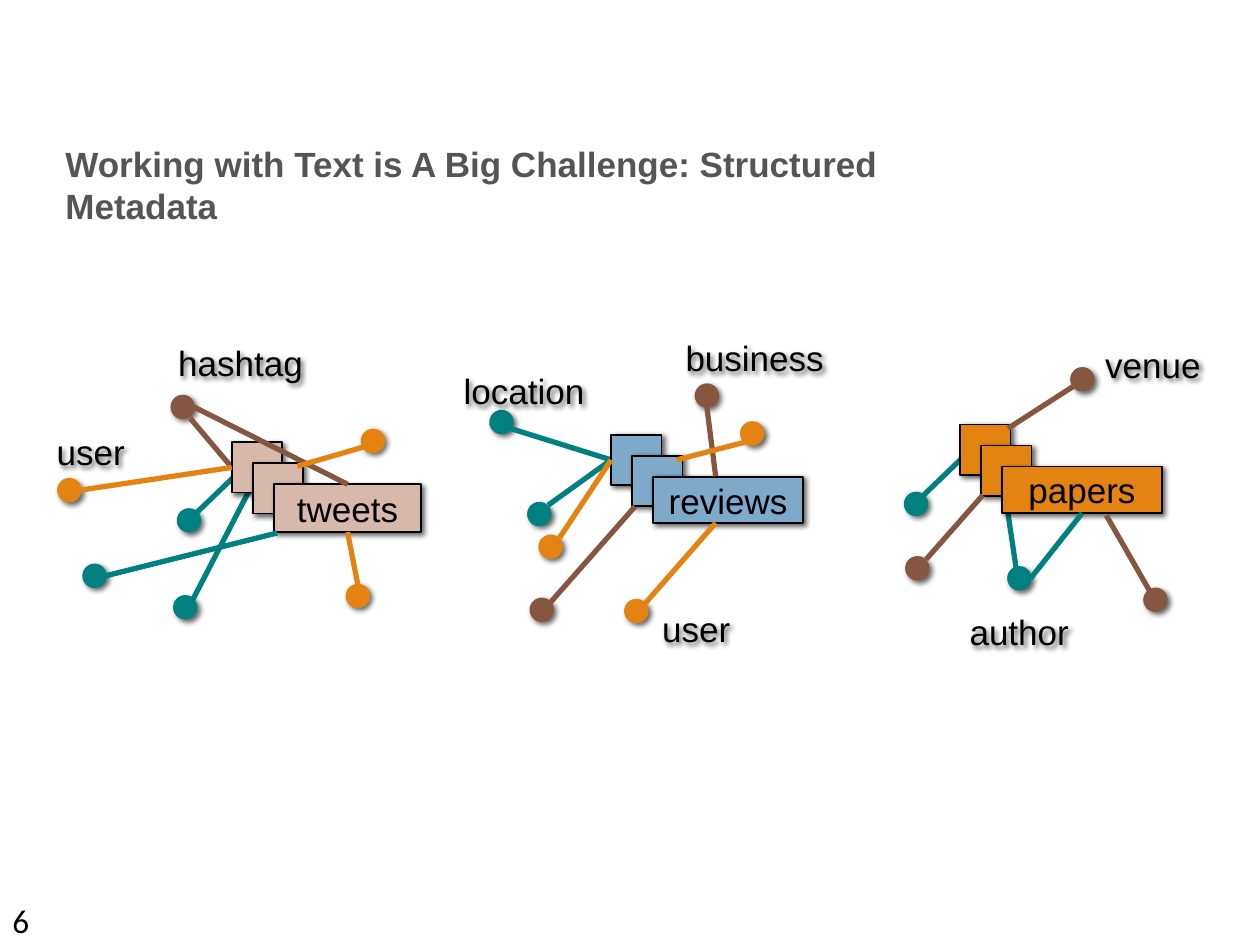
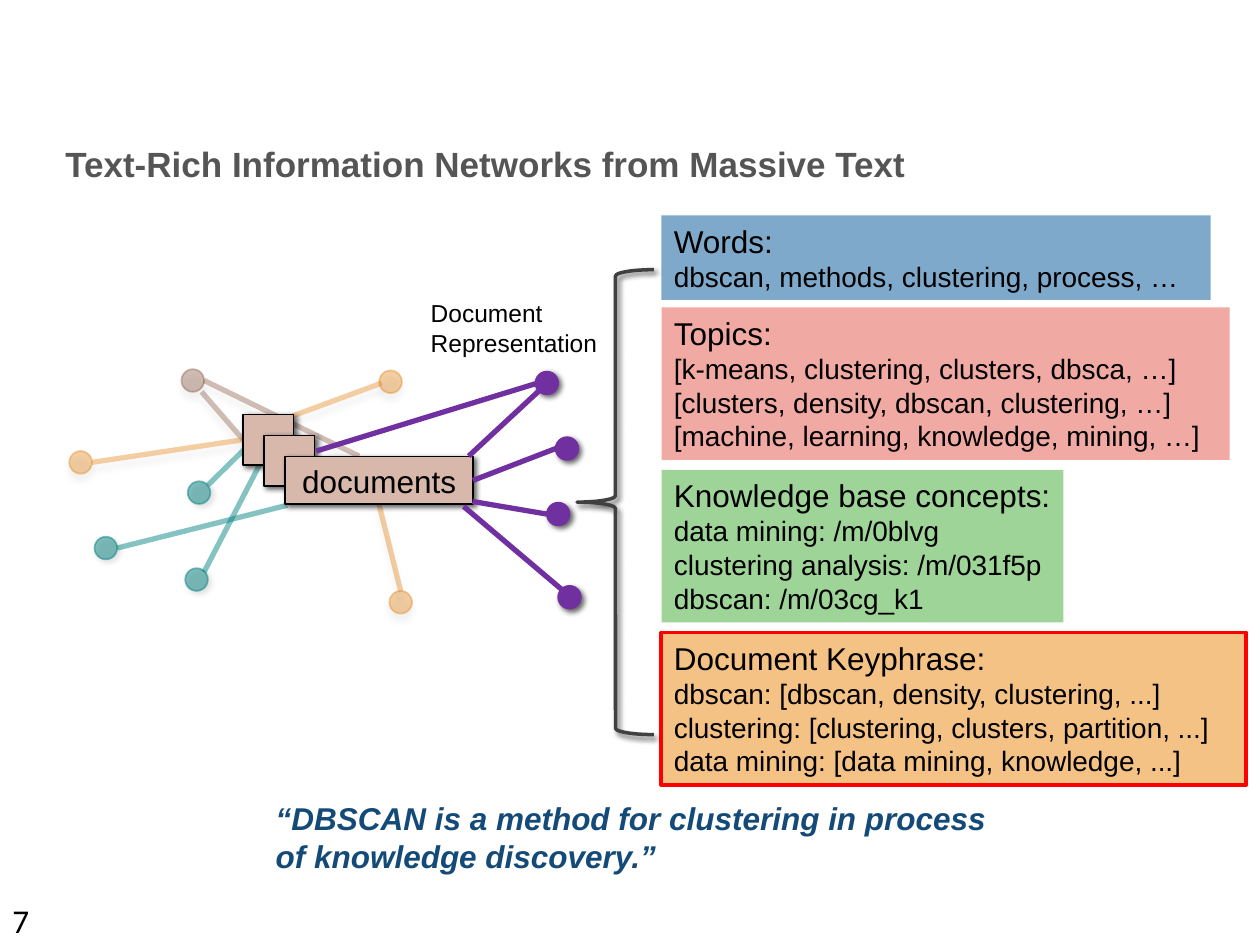
"""Build two slides on text documents linked to structured metadata."""
from lxml.etree import SubElement
from pptx import Presentation
from pptx.dml.color import RGBColor
from pptx.enum.shapes import MSO_CONNECTOR, MSO_SHAPE
from pptx.enum.text import MSO_ANCHOR, PP_ALIGN
from pptx.oxml.ns import qn
from pptx.util import Inches, Pt

BLACK = RGBColor(0x00, 0x00, 0x00)
GRAY = RGBColor(0x55, 0x55, 0x55)
DARK = RGBColor(0x40, 0x40, 0x40)
NAVY = RGBColor(0x14, 0x4A, 0x78)
ORANGE = RGBColor(0xE4, 0x83, 0x12)
TEAL = RGBColor(0x00, 0x80, 0x80)
BROWN = RGBColor(0x86, 0x56, 0x40)
PURPLE = RGBColor(0x70, 0x30, 0xA0)
BLUE = RGBColor(0x7E, 0xA9, 0xCA)
TAN = RGBColor(0xD7, 0xB8, 0xAB)
PINK = RGBColor(0xF0, 0xAA, 0xA3)
GREEN = RGBColor(0x9E, 0xD4, 0x98)
PEACH = RGBColor(0xF3, 0xB5, 0x6C)
RED = RGBColor(0xFF, 0x00, 0x00)

HARD = (60, 3, 2, 45)
SOFT = (12, 4, 4, 90)
FADE = {ORANGE: 38, BROWN: 39, TEAL: 48}
FADE_SHADOW = {ORANGE: SOFT, BROWN: SOFT, TEAL: (21, 3, 2, 45)}
DOT = 0.18
CARD = 0.4
STEP = 1 / 6


def write(sp, lines, size=20, rest=None, color=BLACK, font="Arial", bold=False,
          italic=False, align=PP_ALIGN.LEFT, anchor=MSO_ANCHOR.TOP):
    tf = sp.text_frame
    tf.word_wrap = True
    tf.vertical_anchor = anchor
    for i, line in enumerate(lines):
        p = tf.paragraphs[0] if i == 0 else tf.add_paragraph()
        p.alignment = align
        r = p.add_run()
        r.text = line
        r.font.name = font
        r.font.size = Pt(rest if i and rest else size)
        r.font.bold = bold
        r.font.italic = italic
        r.font.color.rgb = color


def finish(sp, shadow=None, alpha=None):
    sp_pr = sp._element.spPr
    if alpha:
        for clr in sp_pr.iter(qn("a:srgbClr")):
            SubElement(clr, qn("a:alpha"), val=str(alpha * 1000))
    effects = SubElement(sp_pr, qn("a:effectLst"))
    if shadow:
        opacity, blur, dist, angle = shadow
        outer = SubElement(effects, qn("a:outerShdw"), blurRad=str(Pt(blur)),
                           dist=str(Pt(dist)), dir=str(angle * 60000),
                           algn="tl", rotWithShape="0")
        clr = SubElement(outer, qn("a:srgbClr"), val="000000")
        SubElement(clr, qn("a:alpha"), val=str(opacity * 1000))


# Edges: colour, x1, y1, x2, y2 and, where the end is joined, card and side.
tweets = dict(
    name="tweets", size=20, color=TAN, at=(1.84, 3.51), w=1.17, h=0.38, faded=False,
    dots=[(ORANGE, 2.75, 4.64), (TEAL, 1.41, 4.04), (TEAL, 1.38, 4.73), (ORANGE, 2.87, 3.41),
          (BROWN, 1.36, 3.14), (ORANGE, 0.46, 3.8), (TEAL, 0.66, 4.48)],
    back=[(BROWN, 1.51, 3.32, 1.84, 3.71, 0, 1), (TEAL, 1.53, 4.76, 2.14, 3.58),
          (TEAL, 1.56, 4.07, 2.09, 3.56)],
    front=[(TEAL, 0.84, 4.57, 2.2, 4.23), (BROWN, 1.54, 3.23, 2.76, 3.84, 2, 0),
           (ORANGE, 2.84, 4.64, 2.76, 4.22, 2, 2), (ORANGE, 0.64, 3.89, 1.84, 3.71, 0, 1),
           (ORANGE, 3.05, 3.5, 2.36, 3.7)],
    labels=[("user", 0.16, 3.41, 1.12, 0.35), ("hashtag", 1.24, 2.71, 1.34, 0.34)])

reviews = dict(
    name="reviews", size=20, color=BLUE, at=(4.85, 3.45), w=1.19, h=0.37, faded=False,
    dots=[(ORANGE, 4.96, 4.76), (TEAL, 3.89, 3.26), (TEAL, 4.19, 3.99), (ORANGE, 5.88, 3.35),
          (BROWN, 5.52, 3.05), (ORANGE, 4.28, 4.25), (BROWN, 4.21, 4.75)],
    back=[(TEAL, 4.35, 4.01, 4.85, 3.65, 0, 1), (TEAL, 3.89, 3.35, 4.85, 3.65, 0, 1)],
    front=[(BROWN, 4.37, 4.78, 5.04, 4.02), (BROWN, 5.61, 3.23, 5.68, 3.78),
           (ORANGE, 5.12, 4.79, 5.68, 4.15), (ORANGE, 4.44, 4.27, 4.85, 3.65, 0, 1),
           (ORANGE, 5.91, 3.51, 5.37, 3.65)],
    labels=[("user", 4.87, 4.8, 1.31, 0.38), ("location", 3.51, 2.95, 1.3, 0.3),
            ("business", 4.97, 2.68, 2.04, 0.32)])

papers = dict(
    name="papers", size=20, color=ORANGE, at=(7.62, 3.37), w=1.27, h=0.37, faded=False,
    dots=[(TEAL, 7.18, 3.91), (TEAL, 8, 4.5), (BROWN, 8.5, 2.92), (BROWN, 7.19, 4.42),
          (BROWN, 9.08, 4.67)],
    back=[(TEAL, 8.09, 4.68, 7.98, 3.94), (TEAL, 7.33, 3.93, 7.86, 3.42)],
    front=[(TEAL, 8.18, 4.59, 8.59, 4.08, 2, 2), (BROWN, 7.35, 4.44, 7.8, 3.93),
           (BROWN, 8.56, 3.04, 8, 3.4), (BROWN, 9.13, 4.7, 8.78, 4.09)],
    labels=[("venue", 8.59, 2.71, 1.12, 0.36), ("author", 7.51, 4.84, 1.16, 0.35)])

documents = dict(
    name="documents", size=18, color=TAN, at=(1.93, 3.29), w=1.49, h=0.38, faded=True,
    dots=[(ORANGE, 3.09, 4.69), (TEAL, 1.49, 3.82), (TEAL, 1.47, 4.51), (ORANGE, 3.01, 2.94),
          (BROWN, 1.44, 2.93), (ORANGE, 0.55, 3.58), (TEAL, 0.75, 4.26), (PURPLE, 4.25, 2.95),
          (PURPLE, 4.41, 3.47), (PURPLE, 4.34, 3.99), (PURPLE, 4.43, 4.65)],
    back=[(BROWN, 1.6, 3.11, 1.93, 3.49, 0, 1), (TEAL, 1.62, 4.54, 2.23, 3.36),
          (TEAL, 1.65, 3.85, 2.17, 3.34), (TEAL, 0.93, 4.35, 2.28, 4.01),
          (BROWN, 1.62, 3.02, 2.85, 3.62), (ORANGE, 3.18, 4.69, 3.01, 4, 2, 2),
          (ORANGE, 0.73, 3.67, 1.93, 3.49, 0, 1), (ORANGE, 3.03, 3.04, 2.3, 3.31)],
    front=[(PURPLE, 4.28, 3.1, 3.72, 3.62), (PURPLE, 4.41, 3.56, 3.75, 3.81, 2, 3),
           (PURPLE, 4.34, 4.08, 3.75, 3.98), (PURPLE, 4.46, 4.68, 3.68, 4.02),
           (PURPLE, 4.3, 3.03, 2.51, 3.58)],
    labels=[])

pages = [
    (6, "Working with Text is A Big Challenge: Structured Metadata", [reviews, papers, tweets]),
    (7, "Text-Rich Information Networks from Massive Text", [documents])]

panels = [
    (BLUE, 1.71, 4.36, 0.67, ["Words:", "dbscan, methods, clustering, process, …"]),
    (PINK, 2.44, 4.51, 1.21, ["Topics:", "[k-means, clustering, clusters, dbsca, …]",
                              "[clusters, density, dbscan, clustering, …]",
                              "[machine, learning, knowledge, mining, …]"]),
    (GREEN, 3.73, 3.19, 1.21, ["Knowledge base concepts:", "data mining: /m/0blvg",
                               "clustering analysis: /m/031f5p", "dbscan: /m/03cg_k1"]),
    (PEACH, 5.02, 4.64, 1.21, ["Document Keyphrase:",
                               "dbscan: [dbscan, density, clustering, ...]",
                               "clustering: [clustering, clusters, partition, ...]",
                               "data mining: [data mining, knowledge, ...]"])]

prs = Presentation()
prs.slide_width = Inches(10)
prs.slide_height = Inches(7.5)

for number, title, networks in pages:
    s = prs.slides.add_slide(prs.slide_layouts[6])
    sp = s.shapes.add_textbox(Inches(0), Inches(7.1), Inches(1.08), Inches(0.4))
    write(sp, [str(number)], size=19, font="Calibri")
    sp = s.shapes.add_textbox(Inches(0.42), Inches(1.08), Inches(7.91), Inches(0.44))
    write(sp, [title], color=GRAY, bold=True)

    for net in networks:
        fade = FADE if net["faded"] else {}
        for color, x, y in net["dots"]:
            sp = s.shapes.add_shape(MSO_SHAPE.OVAL, Inches(x), Inches(y), Inches(DOT), Inches(DOT))
            sp.fill.solid()
            sp.fill.fore_color.rgb = color
            sp.line.color.rgb = color
            sp.line.width = Pt(1)
            finish(sp, FADE_SHADOW[color] if color in fade else HARD, fade.get(color))

        cards = []
        joins = []
        for layer in ("back", "cards", "front"):
            if layer == "cards":
                for i in range(3):
                    w, h = (net["w"], net["h"]) if i == 2 else (CARD, CARD)
                    x, y = (start + i * STEP for start in net["at"])
                    sp = s.shapes.add_shape(MSO_SHAPE.RECTANGLE, Inches(x), Inches(y),
                                            Inches(w), Inches(h))
                    sp.fill.solid()
                    sp.fill.fore_color.rgb = net["color"]
                    sp.line.color.rgb = BLACK
                    sp.line.width = Pt(1)
                    finish(sp, HARD)
                    cards.append(sp)
                write(cards[2], [net["name"]], size=net["size"], align=PP_ALIGN.CENTER,
                      anchor=MSO_ANCHOR.MIDDLE)
                continue
            for color, x1, y1, x2, y2, *join in net[layer]:
                line = s.shapes.add_connector(MSO_CONNECTOR.STRAIGHT, Inches(x1), Inches(y1),
                                              Inches(x2), Inches(y2))
                line.line.color.rgb = color
                line.line.width = Pt(3)
                finish(line, SOFT if color in fade and color != TEAL else None, fade.get(color))
                if join:
                    joins.append((line, *join))
        for line, card, side in joins:
            line.end_connect(cards[card], side)

        for text, x, y, w, h in net["labels"]:
            sp = s.shapes.add_textbox(Inches(x), Inches(y), Inches(w), Inches(h))
            write(sp, [text], align=PP_ALIGN.CENTER, anchor=MSO_ANCHOR.MIDDLE)
            finish(sp, HARD)

for color, y, w, h, lines in panels:
    sp = s.shapes.add_shape(MSO_SHAPE.RECTANGLE, Inches(5.25), Inches(y), Inches(w), Inches(h))
    sp.fill.solid()
    sp.fill.fore_color.rgb = color
    sp.line.fill.background()
    finish(sp, alpha=82 if color == PEACH else None)
    if color == PEACH:
        sp.line.color.rgb = RED
        sp.line.width = Pt(2.25)
    sp.text_frame.margin_right = 0
    write(sp, lines, size=18, rest=16)

sp = s.shapes.add_shape(MSO_SHAPE.LEFT_BRACE, Inches(4.58), Inches(2.14), Inches(0.61), Inches(3.69))
sp.fill.background()
sp.line.color.rgb = DARK
sp.line.width = Pt(2)
finish(sp, HARD)

sp = s.shapes.add_textbox(Inches(3.32), Inches(2.32), Inches(1.53), Inches(0.57))
write(sp, ["Document", "Representation"], size=14)
sp = s.shapes.add_textbox(Inches(2.09), Inches(6.29), Inches(6), Inches(0.71))
write(sp, ["“DBSCAN is a method for clustering in process of knowledge discovery.”"],
      size=18, color=NAVY, bold=True, italic=True)

prs.save("out.pptx")
